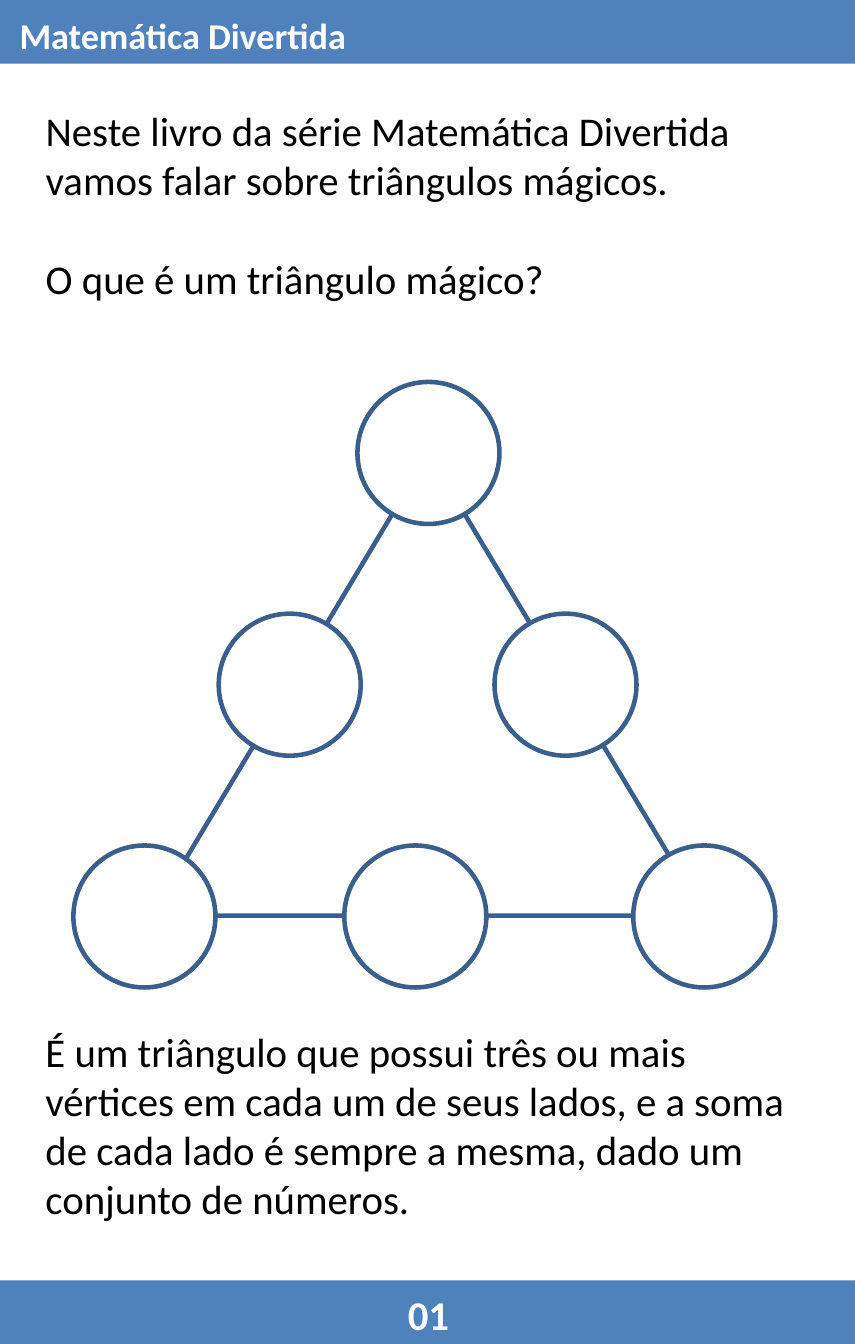
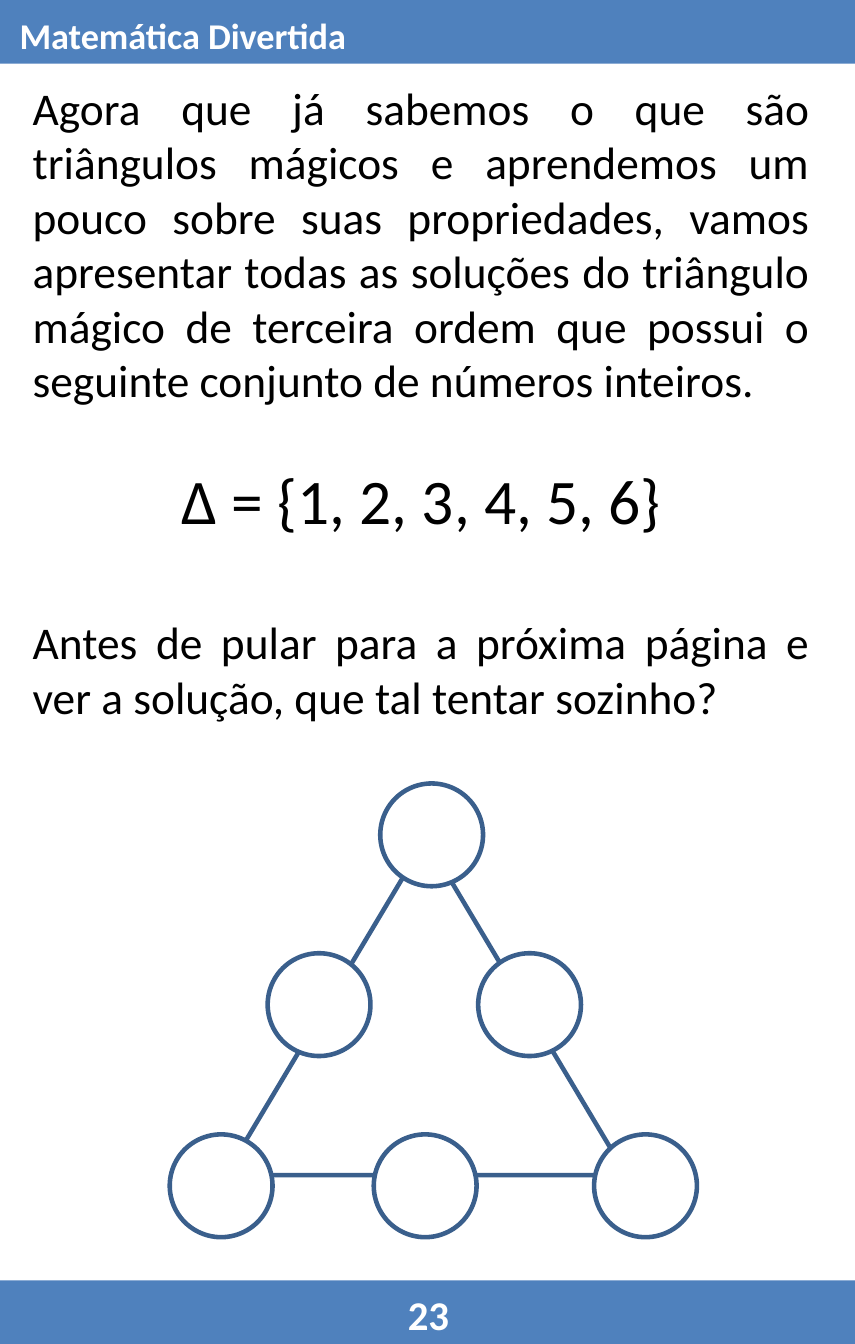
from pptx import Presentation
from pptx.dml.color import RGBColor
from pptx.enum.shapes import MSO_SHAPE
from pptx.enum.text import MSO_ANCHOR, MSO_AUTO_SIZE, PP_ALIGN
from pptx.oxml.ns import qn
from pptx.util import Inches, Pt

RECT, OVAL, TRIANGLE = MSO_SHAPE.RECTANGLE, MSO_SHAPE.OVAL, MSO_SHAPE.ISOSCELES_TRIANGLE
LEFT, CENTER, JUSTIFY = PP_ALIGN.LEFT, PP_ALIGN.CENTER, PP_ALIGN.JUSTIFY
TOP, NO_FIT = MSO_ANCHOR.TOP, MSO_AUTO_SIZE.NONE

W, H, BAND = 5.238, 8.234, 0.39
FONT = "Calibri"
COLORS = {"band": "4F81BD", "line": "3A5F8C", "white": "FFFFFF", "text": "000000"}
HEADER = "Matemática Divertida"

PAGES = [
    {
        "number": "01",
        "body": ((0.18, 0.6, 4.72, 1.31), [
            ("Neste livro da série Matemática Divertida vamos falar sobre triângulos mágicos.",
             18, LEFT, 0),
            ("O que é um triângulo mágico?", 18, LEFT, 22),
        ]),
        "triangle": ((0.93, 2.78, 3.39, 2.83), 0.87, {
            -0.44: [1.26], 0.98: [0.41, 2.1], 2.4: [-0.48, 1.18, 2.95]}),
        "note": ((0.18, 6.24, 4.88, 1.31), [
            ("É um triângulo que possui três ou mais vértices em cada um de seus lados, "
             "e a soma de cada lado é sempre a mesma, dado um conjunto de números.",
             18, LEFT, 0),
        ]),
    },
    {
        "number": "23",
        "body": ((0.1, 0.44, 4.96, 4.07), [
            ("Agora que já sabemos o que são triângulos mágicos e aprendemos um pouco sobre "
             "suas propriedades, vamos apresentar todas as soluções do triângulo mágico de "
             "terceira ordem que possui o seguinte conjunto de números inteiros.",
             20, JUSTIFY, 0),
            ("∆ = {1, 2, 3, 4, 5, 6}", 28, CENTER, 24),
            ("Antes de pular para a próxima página e ver a solução, que tal tentar sozinho?",
             20, JUSTIFY, 34),
        ]),
        "triangle": ((1.38, 5.14, 2.46, 2.06), 0.63, {
            -0.34: [0.95], 0.7: [0.26, 1.55], 1.81: [-0.34, 0.91, 2.26]}),
    },
]


def rgb(name):
    """Return the named palette colour."""
    return RGBColor.from_string(COLORS[name])


def place(sp, box):
    """Move and size a shape to a box in inches."""
    for name, value in zip(("left", "top", "width", "height"), box):
        setattr(sp, name, Inches(value))


def write(sp, paragraphs, color="text", bold=False):
    """Fill a text shape with (text, size, alignment, space before) paragraphs."""
    tf = sp.text_frame
    frame = {"word_wrap": True, "auto_size": NO_FIT, "vertical_anchor": TOP}
    for name, value in frame.items():
        setattr(tf, name, value)
    for i, (text, size, align, gap) in enumerate(paragraphs):
        p = tf.paragraphs[0] if i == 0 else tf.add_paragraph()
        pPr = p._p.get_or_add_pPr()
        pPr.set("marL", "0")
        pPr.set("indent", "0")
        pPr.append(pPr.makeelement(qn("a:buNone"), {}))
        p.alignment, p.space_before = align, Pt(gap)
        r = p.add_run()
        r.text = text
        for name, value in {"name": FONT, "size": Pt(size), "bold": bold}.items():
            setattr(r.font, name, value)
        r.font.color.rgb = rgb(color)


def add_text(s, box, paragraphs, **style):
    """Add a text box with formatted paragraphs."""
    write(s.shapes.add_textbox(*map(Inches, box)), paragraphs, **style)


def add_figure(s, kind, box, fill=None, line=None):
    """Add a preset shape with an optional fill and outline."""
    sp = s.shapes.add_shape(kind, *map(Inches, box))
    sp.shadow.inherit = False
    if fill:
        sp.fill.solid()
        sp.fill.fore_color.rgb = rgb(fill)
    else:
        sp.fill.background()
    if line:
        sp.line.color.rgb = rgb(line)
        sp.line.width = Pt(2)
    else:
        sp.line.fill.background()
    return sp


def add_frame(s, number):
    """Add the bands, the header title and the page number."""
    for top in (0, H - BAND):
        band = add_figure(s, RECT, (0, top, W, BAND), fill="band")
        s.shapes.element.insert(2, band.element)
    place(s.shapes.title, (0.02, 0.03, 2.6, 0.37))
    write(s.shapes.title, [(HEADER, 16, LEFT, 0)], color="white", bold=True)
    add_text(s, (2.35, H - 0.38, 0.55, 0.4), [(number, 18, CENTER, 0)],
             color="white", bold=True)


def add_magic_triangle(s, box, size, rows):
    """Add a triangle and its circles, offset from the corner of its box."""
    add_figure(s, TRIANGLE, box, line="line")
    for dy, offsets in rows.items():
        for dx in offsets:
            add_figure(s, OVAL, (box[0] + dx, box[1] + dy, size, size),
                       fill="white", line="line")


def add_page(prs, page):
    """Add one book page."""
    s = prs.slides.add_slide(prs.slide_layouts[1])
    add_frame(s, page["number"])
    box, paragraphs = page["body"]
    body = s.placeholders[1]
    place(body, box)
    write(body, paragraphs)
    add_magic_triangle(s, *page["triangle"])
    if "note" in page:
        add_text(s, *page["note"])


def main():
    """Build and save the presentation."""
    prs = Presentation()
    prs.slide_width, prs.slide_height = Inches(W), Inches(H)
    for page in PAGES:
        add_page(prs, page)
    prs.save("out.pptx")


if __name__ == "__main__":
    main()
